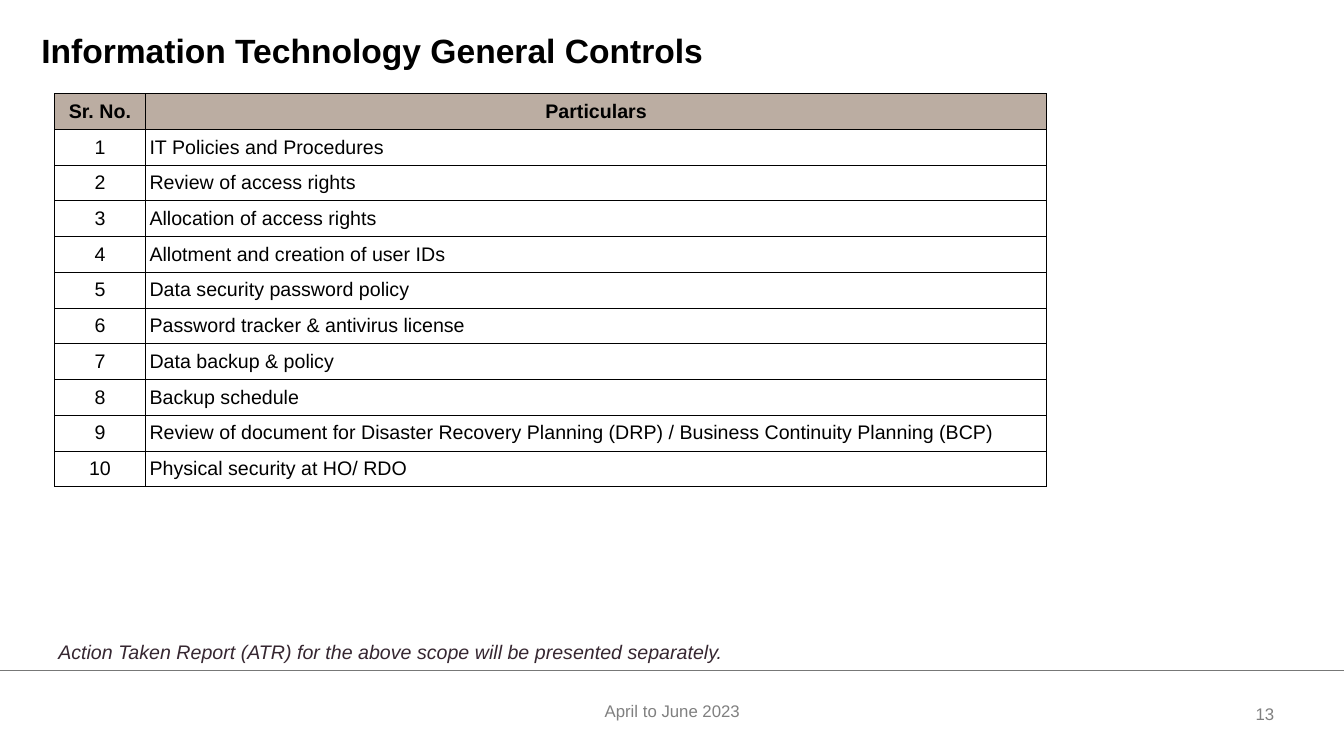
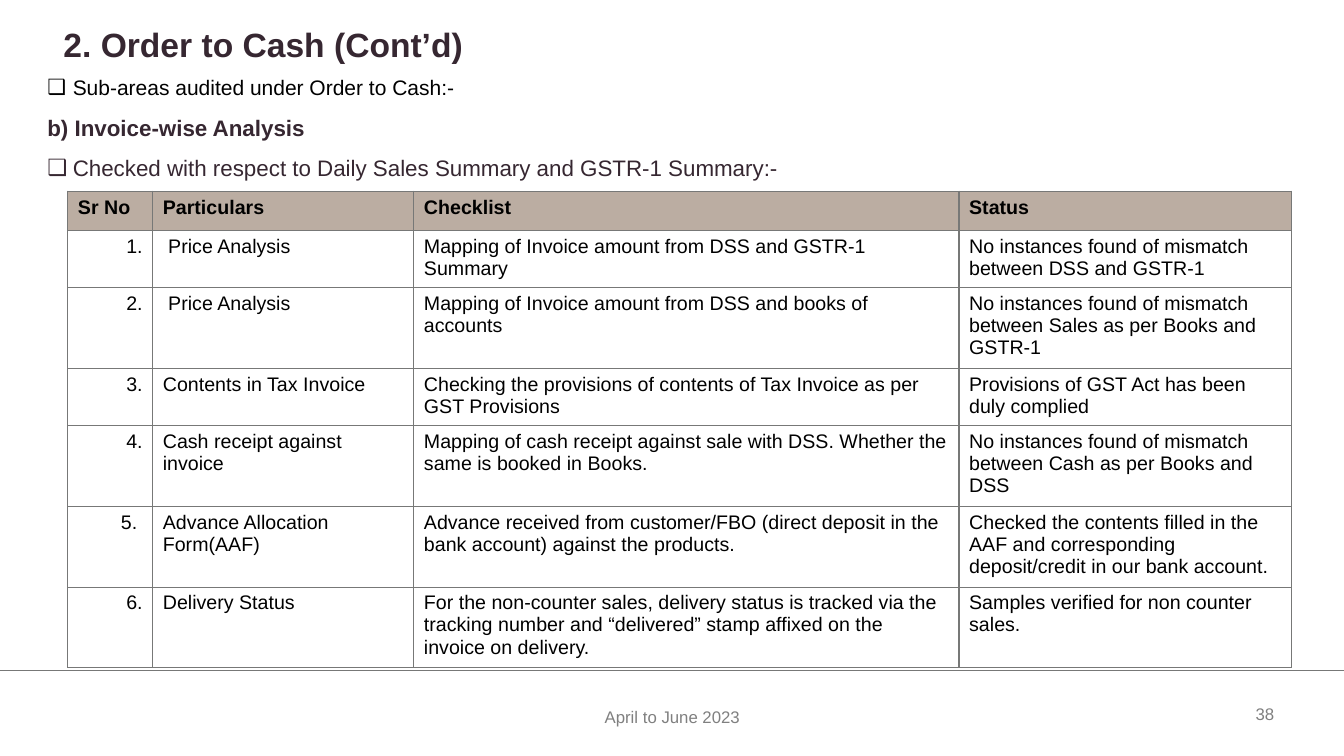
from dataclasses import dataclass

from lxml.etree import SubElement
from pptx import Presentation
from pptx.dml.color import RGBColor
from pptx.enum.shapes import MSO_CONNECTOR
from pptx.enum.text import MSO_ANCHOR, MSO_AUTO_SIZE, PP_ALIGN
from pptx.oxml.ns import qn
from pptx.util import Cm, Pt


@dataclass(frozen=True)
class Theme:
    font: str = "Arial"
    black: str = "000000"
    white: str = "FFFFFF"
    plum: str = "362731"
    grey: str = "808080"
    rule: str = "777877"
    header: str = "BBADA2"
    title_size: int = 24
    heading_size: int = 16
    lead_size: int = 15
    text_size: int = 14
    footer_size: int = 12


theme = Theme()


def add_run(paragraph, text, size, color, bold=False, italic=False):
    run = paragraph.add_run()
    run.text = text
    font = run.font
    font.name, font.size, font.bold, font.italic = theme.font, Pt(size), bold, italic
    font.color.rgb = RGBColor.from_string(color)


def add_grid(slide, left, top, widths, heights, rows, border, border_width):
    """Add a bordered table whose first row is the header; sizes in cm."""
    frame = slide.shapes.add_table(len(rows), len(widths), Cm(left), Cm(top),
                                   Cm(sum(widths)), Cm(sum(heights)))
    table = frame.table
    table.first_row = table.horz_banding = False
    for column, width in zip(table.columns, widths):
        column.width = Cm(width)
    for row_index, (values, height) in enumerate(zip(rows, heights)):
        table.rows[row_index].height = Cm(height)
        is_header = row_index == 0
        for column_index, value in enumerate(values):
            cell = table.cell(row_index, column_index)
            properties = cell._tc.get_or_add_tcPr()
            for side in ("a:lnL", "a:lnR", "a:lnT", "a:lnB"):
                line = SubElement(properties, qn(side), w=str(Pt(border_width)))
                fill = SubElement(line, qn("a:solidFill"))
                SubElement(fill, qn("a:srgbClr"), val=border)
            cell.fill.solid()
            cell.fill.fore_color.rgb = RGBColor.from_string(
                theme.header if is_header else theme.white)
            add_run(cell.text_frame.paragraphs[0], value, theme.text_size,
                    theme.black, bold=is_header)
    return table


presentation = Presentation()
presentation.slide_width = Cm(33.87)
presentation.slide_height = Cm(19.05)
layouts = presentation.slide_layouts
controls_slide = presentation.slides.add_slide(layouts.get_by_name("Title Only"))
cash_slide = presentation.slides.add_slide(layouts.get_by_name("Title and Content"))

# Footer rule, shared through the slide master
rule = controls_slide.shapes.add_connector(
    MSO_CONNECTOR.STRAIGHT, 0, Cm(16.89), presentation.slide_width, Cm(16.89))
rule.line.color.rgb = RGBColor.from_string(theme.rule)
rule.line.width = Pt(0.5)
SubElement(rule.element.spPr, qn("a:effectLst"))
rule.element.nvCxnSpPr.cNvPr.id = 100
presentation.slide_master.shapes.element.append(rule.element)

# Titles: slide, text, colour, box, side inset, top inset, anchor, line spacing
titles = [
    (controls_slide, "Information Technology General Controls", theme.black,
     (0.84, 0.46, 28, 1.09), 0.2, 0, MSO_ANCHOR.MIDDLE, 1.5),
    (cash_slide, "2. Order to Cash (Cont’d)", theme.plum,
     (1.35, 0.58, 18.54, 1.32), 0.25, 0.13, MSO_ANCHOR.TOP, 0.9),
]
for slide, text, color, box, side, edge, anchor, spacing in titles:
    title = slide.shapes.title
    title.left, title.top, title.width, title.height = map(Cm, box)
    frame = title.text_frame
    frame.auto_size = MSO_AUTO_SIZE.NONE
    frame.vertical_anchor = anchor
    frame.margin_left = frame.margin_right = Cm(side)
    frame.margin_top = frame.margin_bottom = Cm(edge)
    paragraph = frame.paragraphs[0]
    paragraph.alignment = PP_ALIGN.LEFT
    paragraph.line_spacing = spacing
    add_run(paragraph, text, theme.title_size, color, bold=True)

# Footers: period in the middle, page number at the right
for slide, period_top, number in ((controls_slide, 17.4, "13"), (cash_slide, 17.55, "38")):
    for text, left, top, width in (("April to June 2023", 11.23, period_top, 11.43),
                                   (number, 30.28, 17.48, 3.2)):
        footer = slide.shapes.add_textbox(Cm(left), Cm(top), Cm(width), Cm(1.02))
        footer.text_frame.word_wrap = True
        footer.text_frame.vertical_anchor = MSO_ANCHOR.MIDDLE
        paragraph = footer.text_frame.paragraphs[0]
        paragraph.alignment = PP_ALIGN.CENTER
        add_run(paragraph, text, theme.footer_size, theme.grey)

# Controls slide: numbered list of control areas
controls = [
    "IT Policies and Procedures",
    "Review of access rights",
    "Allocation of access rights",
    "Allotment and creation of user IDs",
    "Data security password policy",
    "Password tracker & antivirus license",
    "Data backup & policy",
    "Backup schedule",
    "Review of document for Disaster Recovery Planning (DRP) / "
    "Business Continuity Planning (BCP)",
    "Physical security at HO/ RDO",
]
control_rows = [("Sr. No.", "Particulars")]
control_rows += [(str(number), control) for number, control in enumerate(controls, 1)]
controls_table = add_grid(controls_slide, 1.37, 2.36, (2.3, 22.71),
                          [0.9] * len(control_rows), control_rows, theme.black, 0.5)
for row_index in range(len(control_rows)):
    for column_index in range(2):
        cell = controls_table.cell(row_index, column_index)
        centred = row_index == 0 or column_index == 0
        cell.vertical_anchor = MSO_ANCHOR.MIDDLE
        cell.margin_left = cell.margin_right = Cm(0.03 if centred else 0.1)
        cell.margin_top = cell.margin_bottom = Cm(0.03)
        cell.text_frame.paragraphs[0].alignment = (
            PP_ALIGN.CENTER if centred else PP_ALIGN.LEFT)

# Controls slide: closing note
note = controls_slide.shapes.add_textbox(Cm(1.22), Cm(16), Cm(22.91), Cm(0.86))
note.text_frame.word_wrap = True
add_run(note.text_frame.paragraphs[0],
        "Action Taken Report (ATR) for the above scope will be presented separately.",
        theme.text_size, theme.plum, italic=True)

# Cash slide: introduction above the table
introduction = cash_slide.placeholders[1]
introduction.left, introduction.top = Cm(0.94), Cm(1.75)
introduction.width, introduction.height = Cm(31.6), Cm(3)
frame = introduction.text_frame
frame.auto_size = MSO_AUTO_SIZE.NONE
lines = [
    ("Sub-areas audited under Order to Cash:-", theme.lead_size, theme.black, True),
    ("b) Invoice-wise Analysis", theme.heading_size, theme.plum, False),
    ("Checked with respect to Daily Sales Summary and GSTR-1 Summary:-",
     theme.heading_size, theme.plum, True),
]
for index, (text, size, color, bulleted) in enumerate(lines):
    paragraph = frame.add_paragraph() if index else frame.paragraphs[0]
    properties = paragraph._p.get_or_add_pPr()
    indent = Cm(0.64) if bulleted else 0
    properties.set("marL", str(indent))
    properties.set("indent", str(-indent))
    if bulleted:
        SubElement(properties, qn("a:buFont"), typeface=theme.font)
        SubElement(properties, qn("a:buChar"), char="❑")
    else:
        SubElement(properties, qn("a:buNone"))
    paragraph.space_before = Pt(10 if index else 0)
    add_run(paragraph, text, size, color, bold=not bulleted)

# Cash slide: checklist table
checklist_rows = [
    ("Sr No", "Particulars", "Checklist", "Status"),
    ("1.", "Price Analysis", "Mapping of Invoice amount from DSS and GSTR-1 Summary",
     "No instances found of mismatch between DSS and GSTR-1"),
    ("2.", "Price Analysis", "Mapping of Invoice amount from DSS and books of accounts",
     "No instances found of mismatch between Sales as per Books and GSTR-1"),
    ("3.", "Contents in Tax Invoice",
     "Checking the provisions of contents of Tax Invoice as per GST Provisions",
     "Provisions of GST Act has been duly complied"),
    ("4.", "Cash receipt against invoice",
     "Mapping of cash receipt against sale with DSS. Whether the same is booked in Books.",
     "No instances found of mismatch between Cash as per Books and DSS"),
    ("5.", "Advance Allocation Form(AAF)",
     "Advance received from customer/FBO (direct deposit in the bank account) "
     "against the products.",
     "Checked the contents filled in the AAF and corresponding deposit/credit "
     "in our bank account."),
    ("6.", "Delivery Status",
     "For the non-counter sales, delivery status is tracked via the tracking number "
     "and “delivered” stamp affixed on the invoice on delivery.",
     "Samples verified for non counter sales."),
]
checklist_table = add_grid(cash_slide, 1.71, 4.82, (2.14, 6.58, 13.74, 8.38),
                           (0.99, 1.4, 1.98, 1.4, 1.98, 1.98, 1.98),
                           checklist_rows, theme.rule, 1)
for row_index in range(1, len(checklist_rows)):
    number_cell = checklist_table.cell(row_index, 0)
    number_cell.text_frame.paragraphs[0].alignment = PP_ALIGN.RIGHT

# Slightly deeper insets in three cells
for row_index in (1, 2):
    checklist_table.cell(row_index, 1).margin_left = Cm(0.39)
checklist_table.cell(5, 0).margin_right = Cm(0.39)

presentation.save("out.pptx")
